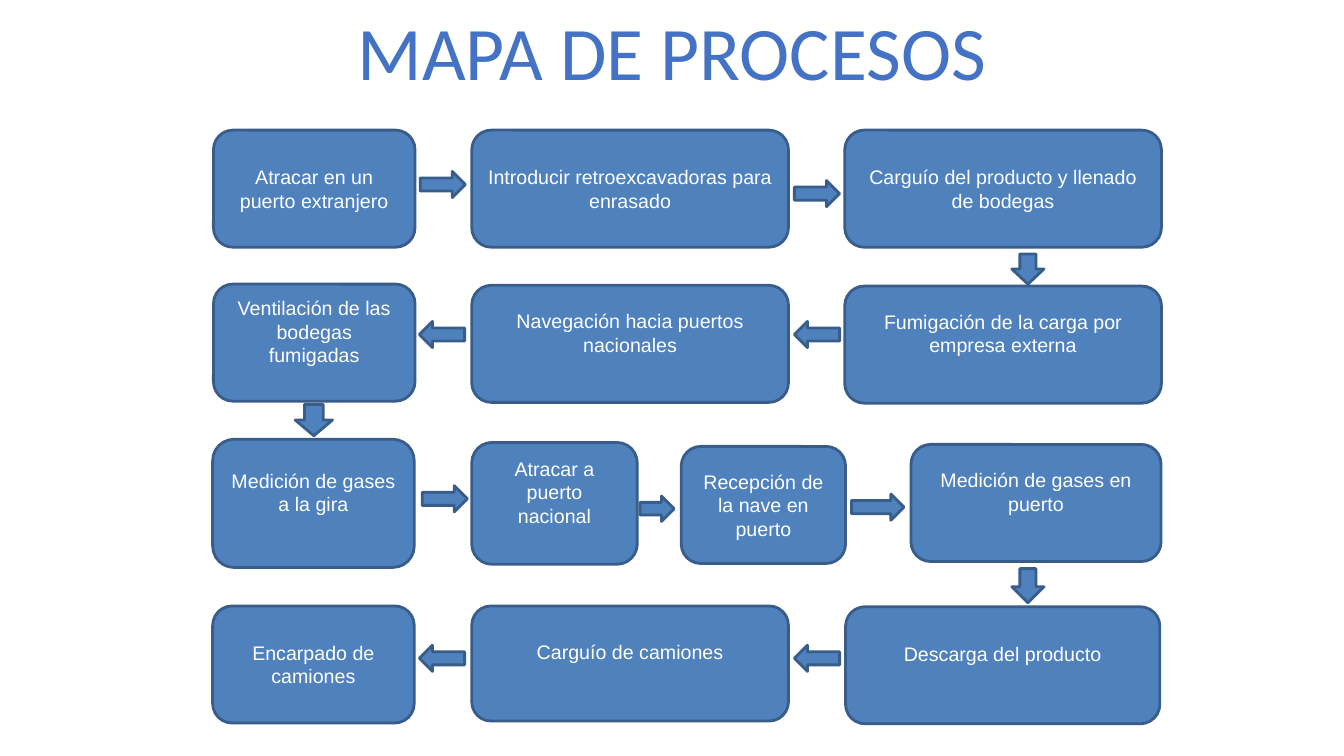
from pptx import Presentation
from pptx.dml.color import RGBColor
from pptx.enum.shapes import MSO_SHAPE as SHAPE
from pptx.enum.text import MSO_ANCHOR as ANCHOR, MSO_AUTO_SIZE as AUTO_SIZE, PP_ALIGN as ALIGN
from pptx.util import Cm, Pt

BLUE = RGBColor(0x4F, 0x81, 0xBD)
DARK_BLUE = RGBColor(0x38, 0x5D, 0x8A)
TITLE_BLUE = RGBColor(0x44, 0x72, 0xC4)
WHITE = RGBColor(0xFF, 0xFF, 0xFF)

RIGHT, LEFT, DOWN = SHAPE.RIGHT_ARROW, SHAPE.LEFT_ARROW, SHAPE.DOWN_ARROW
CENTERED, RAISED = 0.13, 0.7  # bottom text inset in cm

prs = Presentation()
prs.slide_width, prs.slide_height = Cm(33.87), Cm(19.05)
s = prs.slides.add_slide(prs.slide_layouts[6])


def add_block(kind, x, y, w, h):
    sp = s.shapes.add_shape(kind, Cm(x), Cm(y), Cm(w), Cm(h))
    sp.shadow.inherit = False
    sp.fill.solid()
    sp.fill.fore_color.rgb = BLUE
    sp.line.color.rgb = DARK_BLUE
    sp.line.width = Pt(2)
    return sp


def write(sp, text, font, size, color):
    tf = sp.text_frame
    tf.word_wrap = True
    tf.text = text
    p = tf.paragraphs[0]
    p.alignment = ALIGN.CENTER
    r = p.runs[0]
    r.font.name, r.font.size = font, Pt(size)
    r.font.color.rgb = color


# Title
title = s.shapes.add_textbox(0, 0, prs.slide_width, Cm(2.57))
write(title, "MAPA DE PROCESOS", "Calibri", 54, TITLE_BLUE)
title.text_frame.auto_size = AUTO_SIZE.SHAPE_TO_FIT_TEXT

# Process steps, in order of flow: text, left, top, width, height, inset
steps = [
    ("Atracar en un puerto extranjero", 5.38, 3.28, 5.08, 2.95, CENTERED),
    ("Introducir retroexcavadoras para enrasado", 11.89, 3.28, 7.98, 2.95, CENTERED),
    ("Carguío del producto y llenado de bodegas", 21.29, 3.28, 7.98, 2.95, CENTERED),
    ("Fumigación de la carga por empresa externa", 21.29, 7.21, 7.98, 2.95, RAISED),
    ("Navegación hacia puertos nacionales", 11.89, 7.19, 7.98, 2.95, RAISED),
    ("Ventilación de las bodegas fumigadas", 5.38, 7.16, 5.08, 2.95, RAISED),
    ("Medición de gases a la gira", 5.36, 11.07, 5.08, 3.23, RAISED),
    ("Atracar a puerto nacional", 11.89, 11.15, 4.17, 3.07, RAISED),
    ("Recepción de la nave en puerto", 17.17, 11.25, 4.14, 2.95, CENTERED),
    ("Medición de gases en puerto", 22.96, 11.2, 6.3, 2.95, RAISED),
    ("Descarga del producto", 21.31, 15.29, 7.92, 2.95, RAISED),
    ("Carguío de camiones", 11.89, 15.27, 7.98, 2.9, RAISED),
    ("Encarpado de camiones", 5.36, 15.27, 5.08, 2.95, CENTERED),
]
for text, x, y, w, h, inset in steps:
    sp = add_block(SHAPE.ROUNDED_RECTANGLE, x, y, w, h)
    write(sp, text, "Arial", 14, WHITE)
    sp.text_frame.vertical_anchor = ANCHOR.MIDDLE
    sp.text_frame.margin_bottom = Cm(inset)

# Arrows between steps, in order of flow
arrows = [
    (RIGHT, 10.59, 4.32, 1.14, 0.66),
    (RIGHT, 20.02, 4.55, 1.14, 0.66),
    (DOWN, 25.5, 6.4, 0.81, 0.76),
    (LEFT, 20.02, 8.1, 1.14, 0.66),
    (LEFT, 10.57, 8.1, 1.14, 0.66),
    (DOWN, 7.44, 10.19, 0.94, 0.79),
    (RIGHT, 10.64, 12.24, 1.14, 0.66),
    (RIGHT, 16.13, 12.5, 0.86, 0.64),
    (RIGHT, 21.46, 12.45, 1.32, 0.66),
    (DOWN, 25.5, 14.33, 0.81, 0.86),
    (LEFT, 20.02, 16.26, 1.14, 0.66),
    (LEFT, 10.57, 16.26, 1.14, 0.66),
]
for arrow in arrows:
    add_block(*arrow)

prs.save("out.pptx")
